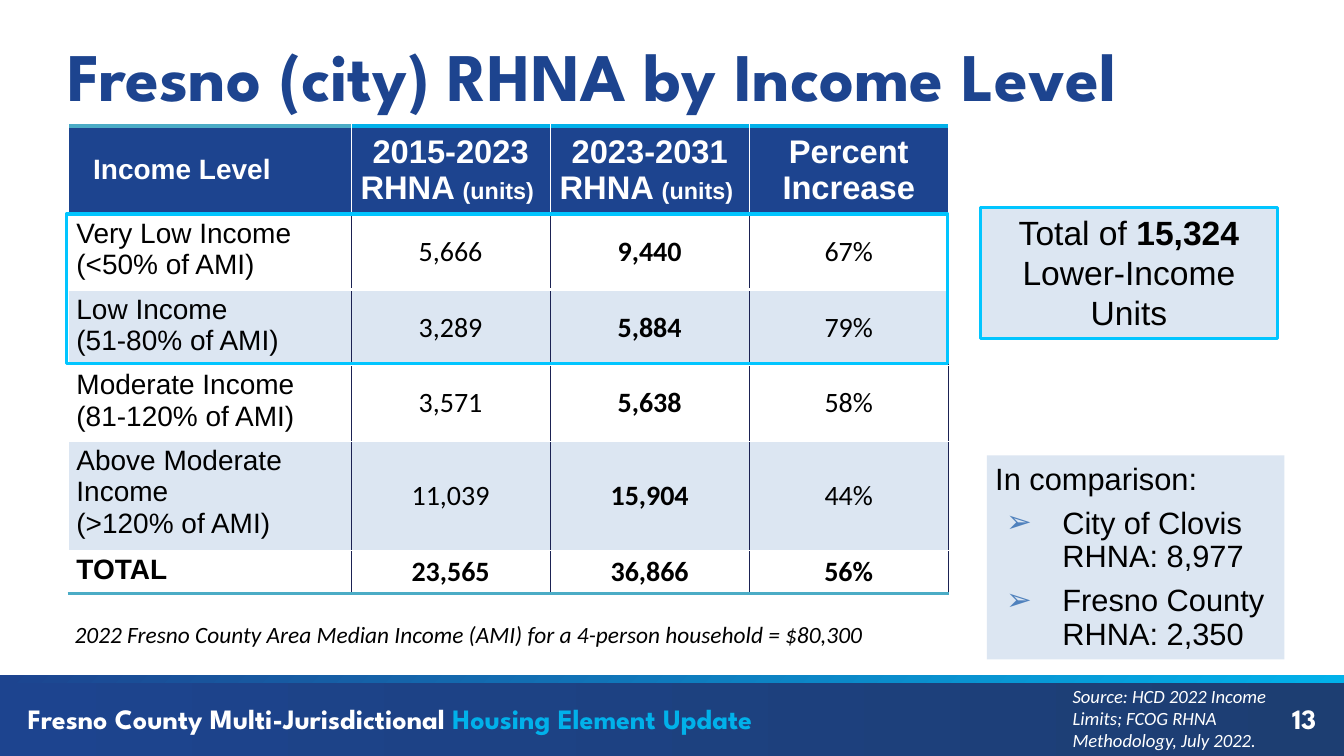
import pptx
import pptx.util
import pptx.dml.color
import pptx.enum.shapes
import pptx.enum.text
import pptx.oxml
import pptx.oxml.ns
from lxml import etree

Inches, Pt = pptx.util.Inches, pptx.util.Pt
RECT = pptx.enum.shapes.MSO_SHAPE.RECTANGLE
ALIGN = pptx.enum.text.PP_ALIGN
ANCHOR = pptx.enum.text.MSO_ANCHOR

COLORS = {"navy": "1D448F", "deep": "1D3E72", "cyan": "01B1EA", "bright": "01C5FF",
          "teal": "4BACC6", "pale": "DCE6F2", "ink": "1B2253", "bullet": "4F81BD",
          "white": "FFFFFF", "black": "000000"}

TITLE = "Fresno (city) RHNA by Income Level"
HEADERS = [[("Income Level", 24)],
           [("2015-2023 RHNA ", 28), ("(units) ", 20)],
           [("2023-2031 RHNA ", 28), ("(units) ", 20)],
           [("Percent Increase", 28)]]
INCOME_ROWS = [("Very Low Income\n(<50% of AMI)", "5,666", "9,440", "67%"),
               ("Low Income\n(51-80% of AMI)", "3,289", "5,884", "79%"),
               ("Moderate Income\n(81-120% of AMI)", "3,571", "5,638", "58%"),
               ("Above Moderate Income\n(>120% of AMI)", "11,039", "15,904", "44%"),
               ("TOTAL", "23,565", "36,866", "56%")]
COL_WIDTHS = [3.37, 2.37, 2.37, 2.37]
ROW_HEIGHTS = [1.05, 0.9, 0.9, 0.9, 1.28, 0.51]
ROW_EDGES = [("cyan", 3), ("cyan", 3), ("white", 3), ("white", 1),
             ("white", 1), ("white", 1), ("teal", 3)]
LOWER_INCOME = [("Total of ", False), ("15,324", True), (" Lower-Income Units", False)]
COMPARISON = ["In comparison:", "City of Clovis\vRHNA: 8,977", "Fresno County RHNA: 2,350"]
FOOTER = [("Fresno County Multi-Jurisdictional ", "white"), ("Housing Element Update", "cyan")]
PAGE = "13"
NOTES = [("2022 Fresno County Area Median Income (AMI) for a 4-person household = $80,300",
          (0.79, 7.33, 10.49, 0.44), 20, "black"),
         ("Source: HCD 2022 Income Limits; FCOG RHNA Methodology, July 2022.",
          (12.67, 8.1, 2.83, 0.91), 16, "white")]


def rgb(name):
    return pptx.dml.color.RGBColor.from_string(COLORS[name])


def style(font, size, face, color, bold=False, italic=False):
    font.size, font.name, font.bold, font.italic = Pt(size), face, bold, italic
    font.color.rgb = rgb(color)


def add_run(p, text, *args, **kwargs):
    r = p.add_run()
    r.text = text
    style(r.font, *args, **kwargs)


def add_rect(s, box, fill=None, line=None):
    sp = s.shapes.add_shape(RECT, *map(Inches, box))
    sp.shadow.inherit = False
    if fill:
        sp.fill.solid()
        sp.fill.fore_color.rgb = rgb(fill)
    else:
        sp.fill.background()
    if line:
        sp.line.color.rgb = rgb(line)
        sp.line.width = Pt(3)
    else:
        sp.line.fill.background()
    sp.text_frame.vertical_anchor = ANCHOR.TOP
    return sp


def add_band(s, box, stops, angle):
    sp = add_rect(s, box)
    sp.fill.gradient()
    sp.fill.gradient_angle = angle
    for stop, name in zip(sp.fill.gradient_stops, stops):
        stop.color.rgb = rgb(name)


def add_text(s, box, margin=None):
    tf = s.shapes.add_textbox(*map(Inches, box)).text_frame
    tf.word_wrap = True
    if margin is not None:
        tf.vertical_anchor = ANCHOR.MIDDLE
        tf.margin_left = tf.margin_right = 0
        tf.margin_top = tf.margin_bottom = Inches(margin)
    return tf


def set_borders(cell, edges):
    tc_pr = cell._tc.get_or_add_tcPr()
    for i, (side, (color, width)) in enumerate(zip("LRTB", edges)):
        tc_pr.insert(i, pptx.oxml.parse_xml(
            f'<a:ln{side} {pptx.oxml.ns.nsdecls("a")} w="{Pt(width)}"><a:solidFill>'
            f'<a:srgbClr val="{COLORS[color]}"/></a:solidFill></a:ln{side}>'))


def add_bullet(p):
    p_pr = p._p.get_or_add_pPr()
    p_pr.set("marL", str(Inches(0.8)))
    p_pr.set("indent", str(Inches(-0.67)))
    qn = pptx.oxml.ns.qn
    color = etree.SubElement(p_pr, qn("a:buClr"))
    etree.SubElement(color, qn("a:srgbClr"), val=COLORS["bullet"])
    etree.SubElement(p_pr, qn("a:buFont"), typeface="Arial")
    etree.SubElement(p_pr, qn("a:buChar"), char="➢")
    p.line_spacing = 0.9
    p.space_before = Pt(9.6)


def fill_cell(cell, row, col):
    tf = cell.text_frame
    if row == 0:
        for text, size in HEADERS[col]:
            add_run(tf.paragraphs[0], text, size, "Arial", "white", bold=True)
        if col == 0:
            cell.margin_left, cell.margin_right = Inches(0.3), Inches(0.03)
    else:
        tf.text = INCOME_ROWS[row - 1][col]
        bold = col == 2 or row == len(INCOME_ROWS)
        for p in tf.paragraphs:
            for r in p.runs:
                style(r.font, 24, "Calibri" if col else "Arial", "black", bold)
        if col:
            cell.margin_left = cell.margin_right = Inches(0.07)
            cell.margin_top = cell.margin_bottom = 0
    if col:
        tf.paragraphs[0].alignment = ALIGN.CENTER
    cell.vertical_anchor = ANCHOR.MIDDLE if col or row == 0 else ANCHOR.TOP
    cell.fill.solid()
    cell.fill.fore_color.rgb = rgb("navy" if row == 0 else "white" if row % 2 else "pale")
    left = "white" if row == 0 or col == 0 else "ink"
    right = "white" if row == 0 else "ink"
    top = ("teal", 3) if row == col == 0 else ROW_EDGES[row]
    set_borders(cell, [(left, 1), (right, 1), top, ROW_EDGES[row + 1]])


def add_income_table(s):
    box = (0.81, 1.5, sum(COL_WIDTHS), sum(ROW_HEIGHTS))
    table = s.shapes.add_table(len(ROW_HEIGHTS), len(COL_WIDTHS), *map(Inches, box)).table
    table.first_row = table.horz_banding = False
    for column, width in zip(table.columns, COL_WIDTHS):
        column.width = Inches(width)
    for i, height in enumerate(ROW_HEIGHTS):
        table.rows[i].height = Inches(height)
        for j in range(len(COL_WIDTHS)):
            fill_cell(table.cell(i, j), i, j)


def main():
    prs = pptx.Presentation()
    prs.slide_width, prs.slide_height = Inches(16), Inches(9)
    s = prs.slides.add_slide(prs.slide_layouts[6])

    add_band(s, (0, 8.08, 16, 0.92), ("navy", "deep"), 0)
    p = add_text(s, (0.33, 8.27, 12.2, 0.55), 0.07).paragraphs[0]
    for text, color in FOOTER:
        add_run(p, text, 24, "League Spartan", color, bold=True)
    add_band(s, (0, 8.04, 16, 0.08), ("navy", "cyan"), 315)
    p = add_text(s, (13.67, 8.27, 2, 0.55), 0.07).paragraphs[0]
    p.alignment = ALIGN.RIGHT
    add_run(p, PAGE, 24, "League Spartan", "white", bold=True)

    p = add_text(s, (0.8, 0.56, 14.4, 0.66), 0).paragraphs[0]
    add_run(p, TITLE, 58.3, "League Spartan", "navy", bold=True)

    p = add_rect(s, (11.67, 2.47, 3.54, 1.56), "pale", "bright").text_frame.paragraphs[0]
    p.alignment = ALIGN.CENTER
    for text, bold in LOWER_INCOME:
        add_run(p, text, 28.8, "Arial", "black", bold)

    tf = add_rect(s, (11.75, 5.42, 3.54, 2.43), "pale").text_frame
    tf.text = "\n".join(COMPARISON)
    for i, p in enumerate(tf.paragraphs):
        p.alignment = ALIGN.LEFT
        if i:
            add_bullet(p)
        for r in p.runs:
            style(r.font, 26.4, "Arial", "black")

    add_income_table(s)
    add_rect(s, (0.79, 2.55, 10.49, 1.78), line="bright")
    for text, box, size, color in NOTES:
        add_run(add_text(s, box).paragraphs[0], text, size, "Calibri", color, italic=True)

    prs.save("out.pptx")


if __name__ == "__main__":
    main()
